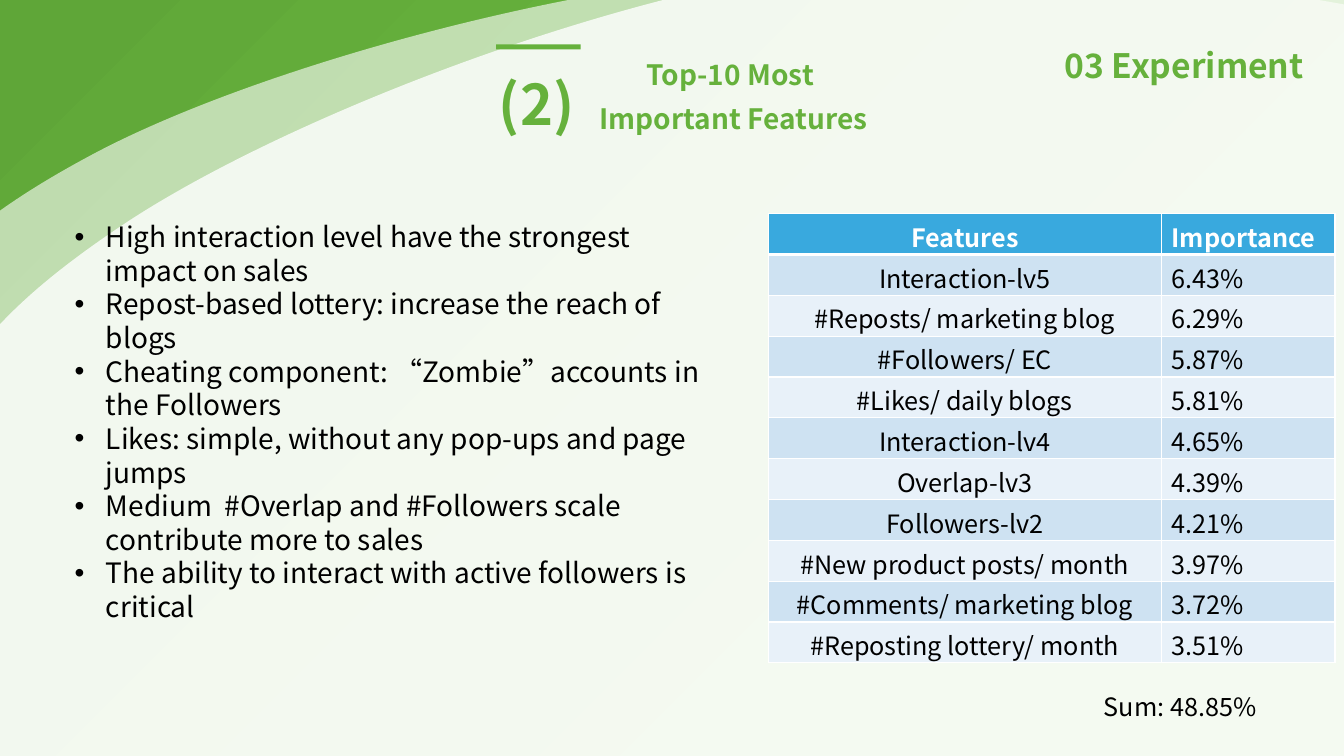
"""Build the slide on the top ten most important features."""
from dataclasses import dataclass

from lxml.etree import SubElement
from pptx import Presentation
from pptx.dml.color import RGBColor
from pptx.enum.lang import MSO_LANGUAGE_ID
from pptx.enum.shapes import MSO_SHAPE
from pptx.enum.text import MSO_ANCHOR, MSO_AUTO_SIZE, PP_ALIGN
from pptx.oxml import parse_xml
from pptx.oxml.ns import nsdecls, qn
from pptx.util import Inches, Pt


@dataclass(frozen=True)
class Theme:
    font: str = "Noto Sans CJK SC"
    accent: str = "66B13C"
    white: str = "FFFFFF"
    black: str = "000000"
    header: str = "39A9DE"
    bands: tuple = ("CEE2F2", "E8F1F9")
    backdrop: tuple = ((0, "7DC555"), (23, "7DC555"), (69, "66B13C"), (97, "5FA638"))
    number_size: int = 40
    title_size: int = 24
    body_size: int = 20
    table_size: int = 18


LIGHT_SWOOSH = [
    (-1.35, 3.89),
    (-1.02, 2.97), (-0.61, 2.34), (0.96, 1.51),
    (2.52, 0.69), (5.64, -0.2), (8.13, -0.32),
    (10.63, -0.44), (14.36, -0.01), (15.92, 0.82),
    (17.49, 1.64), (19.27, 4.16), (18.18, 5.46),
    (17.08, 6.77), (11.33, 9.31), (8.13, 9.57),
    (4.93, 9.83), (0.52, 7.85), (-1.04, 7.02),
    (-2.61, 6.2), (-1.68, 4.81), (-1.35, 3.89),
]
DENSE_SWOOSH = [
    (-0.83, 4.83),
    (-0.6, 3.88), (-0.25, 3.21), (1.22, 2.23),
    (2.69, 1.25), (5.7, 0.04), (8.17, -0.33),
    (10.64, -0.7), (14.39, -0.66), (16.03, 0),
    (17.67, 0.66), (19.71, 2.98), (18.75, 4.39),
    (17.8, 5.8), (12.34, 8.91), (9.18, 9.5),
    (6.02, 10.09), (1.43, 8.57), (-0.21, 7.92),
    (-1.85, 7.26), (-1.07, 5.78), (-0.83, 4.83),
]
FINDINGS = [
    "High interaction level have the strongest impact on sales",
    "Repost-based lottery: increase the reach of blogs",
    "Cheating component: “Zombie”accounts in the Followers",
    "Likes: simple, without any pop-ups and page jumps",
    "Medium  #Overlap and #Followers scale contribute more to sales",
    "The ability to interact with active followers is critical",
]
FEATURES = [
    ("Features", "Importance"),
    ("Interaction-lv5", "6.43%"),
    ("#Reposts/ marketing blog", "6.29%"),
    ("#Followers/ EC", "5.87%"),
    ("#Likes/ daily blogs", "5.81%"),
    ("Interaction-lv4", "4.65%"),
    ("Overlap-lv3", "4.39%"),
    ("Followers-lv2", "4.21%"),
    ("#New product posts/ month", "3.97%"),
    ("#Comments/ marketing blog", "3.72%"),
    ("#Reposting lottery/ month", "3.51%"),
]


class SlideBuilder:
    def __init__(self, presentation, theme):
        self.theme = theme
        self.slide = presentation.slides.add_slide(presentation.slide_layouts[1])
        self.shapes = self.slide.shapes
        self.backdrop_count = 0

    def send_to_backdrop(self, shape):
        self.shapes._spTree.insert(2 + self.backdrop_count, shape._element)
        self.backdrop_count += 1

    def paint(self, shape, color):
        shape.shadow.inherit = False
        shape.fill.solid()
        shape.fill.fore_color.rgb = RGBColor.from_string(color)
        shape.line.fill.background()

    def bar(self, box, color):
        shape = self.shapes.add_shape(MSO_SHAPE.RECTANGLE, *map(Inches, box))
        self.paint(shape, color)
        return shape

    def gradient_backdrop(self, box):
        shape = self.bar(box, self.theme.accent)
        stops = "".join(
            f'<a:gs pos="{position * 1000}"><a:srgbClr val="{color}"/></a:gs>'
            for position, color in self.theme.backdrop)
        solid = shape._element.spPr.find(qn("a:solidFill"))
        solid.getparent().replace(solid, parse_xml(
            f'<a:gradFill {nsdecls("a")} rotWithShape="1"><a:gsLst>{stops}</a:gsLst>'
            '<a:path path="circle"><a:fillToRect l="100000" t="100000"/></a:path>'
            '</a:gradFill>'))
        self.send_to_backdrop(shape)

    def swoosh(self, box, nodes, opacity):
        points = [(Inches(x), Inches(y)) for x, y in nodes]
        builder = self.shapes.build_freeform(*points[0])
        builder.add_line_segments(points[1:], close=True)
        shape = builder.convert_to_shape()
        self.place(shape, box)
        self.paint(shape, self.theme.white)
        self.curve_outline(shape, points)
        color = shape._element.spPr.find(qn("a:solidFill"))[0]
        SubElement(color, qn("a:alpha"), val=str(opacity * 1000))
        self.send_to_backdrop(shape)

    def curve_outline(self, shape, points):
        outline = next(shape._element.iter(qn("a:path")))
        outline.set("w", str(shape.width))
        outline.set("h", str(shape.height))
        for vertex, (x, y) in zip(list(outline.iter(qn("a:pt"))), points):
            vertex.set("x", str(x - shape.left))
            vertex.set("y", str(y - shape.top))
        lines = outline.findall(qn("a:lnTo"))
        for first in range(0, len(lines), 3):
            curve = parse_xml(f'<a:cubicBezTo {nsdecls("a")}/>')
            lines[first].addprevious(curve)
            for line in lines[first:first + 3]:
                curve.append(line[0])
                outline.remove(line)

    def format_text(self, frame, size, color, bold=False, align=PP_ALIGN.LEFT, spacing=1.0):
        for paragraph in frame.paragraphs:
            paragraph.alignment = align
            paragraph.line_spacing = spacing
            paragraph.space_before = Pt(0)
            for run in paragraph.runs:
                run.font.name = self.theme.font
                run.font.size = Pt(size)
                run.font.bold = bold
                run.font.color.rgb = RGBColor.from_string(color)
                run.font.language_id = MSO_LANGUAGE_ID.SIMPLIFIED_CHINESE
                SubElement(run.font._element, qn("a:ea"), typeface=self.theme.font)

    def place(self, shape, box):
        shape.left, shape.top, shape.width, shape.height = map(Inches, box)

    def title(self, box, text):
        shape = self.shapes.title
        self.place(shape, box)
        shape.text_frame.text = text
        shape.text_frame.vertical_anchor = MSO_ANCHOR.MIDDLE
        self.format_text(shape.text_frame, self.theme.title_size, self.theme.accent,
                         True, PP_ALIGN.RIGHT, 0.9)

    def bullets(self, box, items):
        shape = self.slide.placeholders[1]
        self.place(shape, box)
        frame = shape.text_frame
        frame.text = "\n".join(items)
        frame.auto_size = MSO_AUTO_SIZE.NONE
        self.format_text(frame, self.theme.body_size, self.theme.black, spacing=Pt(24))
        for paragraph in frame.paragraphs:
            properties = paragraph._p.get_or_add_pPr()
            properties.set("marL", str(Inches(0.31)))
            properties.set("indent", str(-Inches(0.31)))
            SubElement(properties, qn("a:buFont"), typeface="Arial")
            SubElement(properties, qn("a:buChar"), char="•")

    def label(self, box, text, size, color, wrap=False, **style):
        frame = self.shapes.add_textbox(*map(Inches, box)).text_frame
        frame.text = text
        frame.word_wrap = wrap
        self.format_text(frame, size, color, **style)

    def table(self, box, rows, widths):
        table = self.shapes.add_table(len(rows), len(widths), *map(Inches, box)).table
        for column, width in zip(table.columns, widths):
            column.width = Inches(width)
        for row, values in enumerate(rows):
            for column, value in enumerate(values):
                self.fill_cell(table.cell(row, column), value, row, column)

    def fill_cell(self, cell, value, row, column):
        theme = self.theme
        is_header = row == 0
        cell.text_frame.text = value
        cell.margin_top, cell.margin_bottom = Inches(0.04), 0
        cell.vertical_anchor = MSO_ANCHOR.BOTTOM
        self.format_text(cell.text_frame, theme.table_size,
                         theme.white if is_header else theme.black, is_header,
                         PP_ALIGN.LEFT if column else PP_ALIGN.CENTER)
        properties = cell._tc.get_or_add_tcPr()
        widths = {"lnL": 1, "lnR": 1, "lnT": 3 if row == 1 else 1, "lnB": 3 if is_header else 1}
        for side, width in widths.items():
            line = SubElement(properties, qn(f"a:{side}"), w=str(Pt(width)))
            SubElement(SubElement(line, qn("a:solidFill")), qn("a:srgbClr"), val=theme.white)
        cell.fill.solid()
        cell.fill.fore_color.rgb = RGBColor.from_string(
            theme.header if is_header else theme.bands[(row - 1) % 2])


def main():
    theme = Theme()
    presentation = Presentation()
    presentation.slide_width, presentation.slide_height = Inches(13.33), Inches(7.5)
    builder = SlideBuilder(presentation, theme)
    builder.gradient_backdrop((0, 0, 13.33, 7.5))
    builder.swoosh((-1.93, -0.34, 20.44, 9.93), LIGHT_SWOOSH, 60)
    builder.swoosh((-1.38, -0.39, 20.44, 9.93), DENSE_SWOOSH, 80)
    builder.title((7.23, 0.28, 5.8, 0.79), "03 Experiment")
    builder.bar((4.92, 0.44, 0.84, 0.05), theme.accent)
    builder.label((5.81, 0.42, 2.93, 0.93), "Top-10 Most \nImportant Features", theme.body_size,
                  theme.accent, bold=True, align=PP_ALIGN.CENTER, spacing=1.3)
    builder.label((4.85, 0.44, 0.99, 0.89), "(2)", theme.number_size, theme.accent,
                  bold=True, spacing=1.3)
    builder.table((7.62, 2.12, 5.62, 4.46), FEATURES, (3.9, 1.72))
    builder.bullets((0.64, 2.13, 6.59, 4.44), FINDINGS)
    builder.label((10.85, 6.81, 2.39, 0.4), "Sum: 48.85%", theme.table_size, theme.black, wrap=True)
    presentation.save("out.pptx")


if __name__ == "__main__":
    main()
